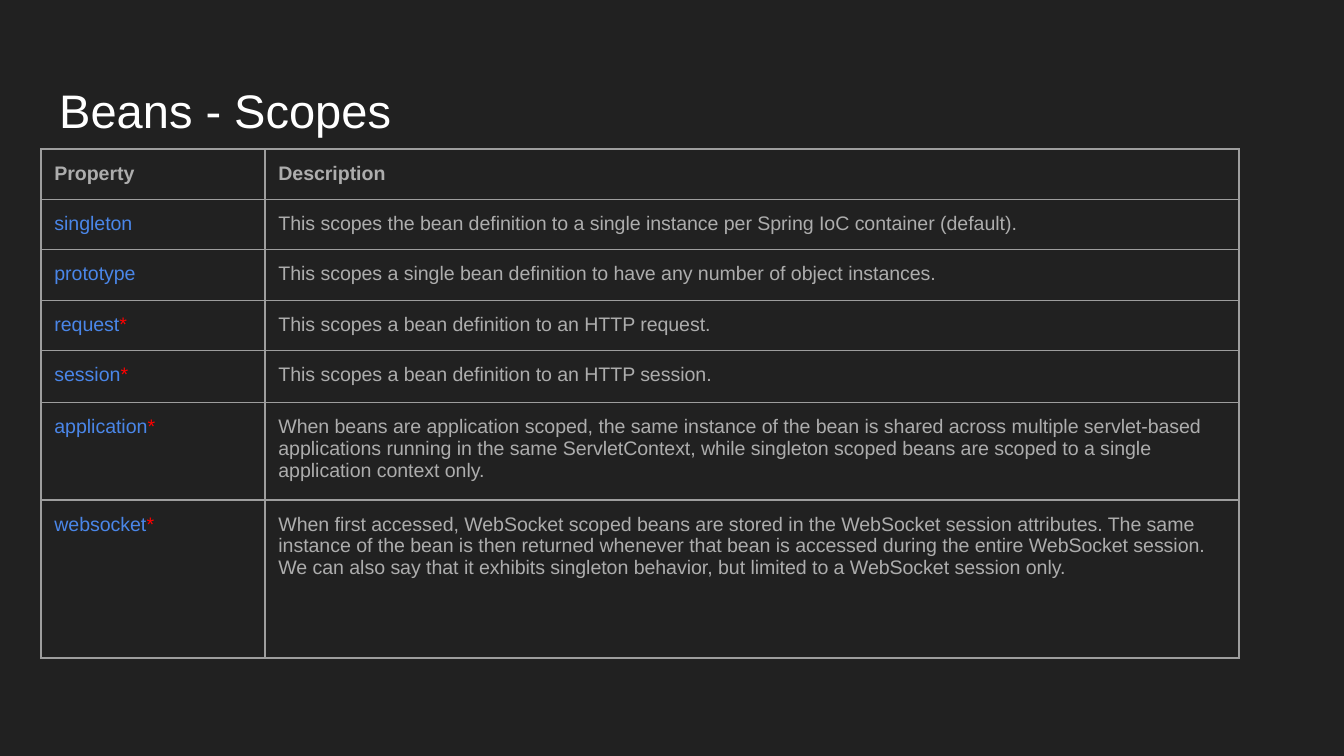
from dataclasses import dataclass

from lxml import etree
from pptx import Presentation
from pptx import util as u
from pptx.dml.color import RGBColor
from pptx.enum import text
from pptx.oxml.ns import qn


@dataclass(frozen=True)
class Theme:
    font: str = "Arial"
    background: str = "212121"
    title: str = "FFFFFF"
    body: str = "ADADAD"
    scope: str = "4A86E8"
    marker: str = "FF0000"
    border: str = "9E9E9E"
    title_size: float = 25.2
    body_size: float = 10.5
    border_width: float = 0.75


def px(length):
    return u.Emu(round(length * 914400 / 134.4))


class Deck:
    def __init__(self, theme, width, height):
        self.theme = theme
        self.file = Presentation()
        self.file.slide_width, self.file.slide_height = px(width), px(height)
        self.slide = self.file.slides.add_slide(self.file.slide_layouts[6])
        self.paint(self.slide.background.fill, theme.background)

    def paint(self, fill, color):
        fill.solid()
        fill.fore_color.rgb = RGBColor.from_string(color)

    def style(self, font, size, color, bold=False):
        font.name, font.size, font.bold = self.theme.font, u.Pt(size), bold
        font.color.rgb = RGBColor.from_string(color)

    def inset(self, holder):
        holder.margin_left = holder.margin_right = u.Inches(0.1)
        holder.margin_top = holder.margin_bottom = u.Inches(0.1)

    def title(self, words, left, top, width, height):
        frame = self.slide.shapes.add_textbox(
            px(left), px(top), px(width), px(height)).text_frame
        frame.word_wrap = True
        frame.vertical_anchor = text.MSO_ANCHOR.BOTTOM
        self.inset(frame)
        frame.text = words
        self.style(frame.paragraphs[0].font, self.theme.title_size, self.theme.title)

    def border(self, cell):
        properties = cell._tc.get_or_add_tcPr()
        for side in ("a:lnL", "a:lnR", "a:lnT", "a:lnB"):
            line = etree.SubElement(properties, qn(side),
                                    w=str(u.Pt(self.theme.border_width)))
            fill = etree.SubElement(line, qn("a:solidFill"))
            etree.SubElement(fill, qn("a:srgbClr"), val=self.theme.border)

    def cell(self, cell, words, color, bold=False):
        self.inset(cell)
        self.border(cell)
        cell.fill.background()
        # A trailing asterisk takes the marker colour
        name = words.removesuffix("*")
        cell.text = name
        for paragraph in cell.text_frame.paragraphs:
            self.style(paragraph.font, self.theme.body_size, color, bold)
        if name != words:
            star = paragraph.add_run()
            star.text = "*"
            star.font.color.rgb = RGBColor.from_string(self.theme.marker)

    def table(self, rows, left, top, widths, heights):
        grid = self.slide.shapes.add_table(
            len(rows), len(widths), px(left), px(top),
            px(sum(widths)), px(sum(heights))).table
        grid.first_row = grid.horz_banding = False
        for column, width in zip(grid.columns, widths):
            column.width = px(width)
        for row, height in zip(grid.rows, heights):
            row.height = px(height)
        for r, entries in enumerate(rows):
            for c, words in enumerate(entries):
                color = self.theme.scope if r and c == 0 else self.theme.body
                self.cell(grid.cell(r, c), words, color, bold=r == 0)


SCOPES = [
    ("Property", "Description"),
    ("singleton", "This scopes the bean definition to a single instance per "
                  "Spring IoC container (default)."),
    ("prototype", "This scopes a single bean definition to have any number of "
                  "object instances."),
    ("request*", "This scopes a bean definition to an HTTP request."),
    ("session*", "This scopes a bean definition to an HTTP session."),
    ("application*", "When beans are application scoped, the same instance of the "
                     "bean is shared across multiple servlet-based applications "
                     "running in the same ServletContext, while singleton scoped "
                     "beans are scoped to a single application context only."),
    ("websocket*", "When first accessed, WebSocket scoped beans are stored in the "
                   "WebSocket session attributes. The same instance of the bean is "
                   "then returned whenever that bean is accessed during the entire "
                   "WebSocket session.\n"
                   "We can also say that it exhibits singleton behavior, but "
                   "limited to a WebSocket session only."),
]


def main():
    deck = Deck(Theme(), 1344, 756)
    # Heading
    deck.title("Beans - Scopes", 46, 66, 1252, 85)
    # Scope table
    deck.table(SCOPES, 41, 149, widths=(224, 974),
               heights=(49, 48, 49, 48, 52, 92, 158))
    deck.file.save("out.pptx")


if __name__ == "__main__":
    main()
